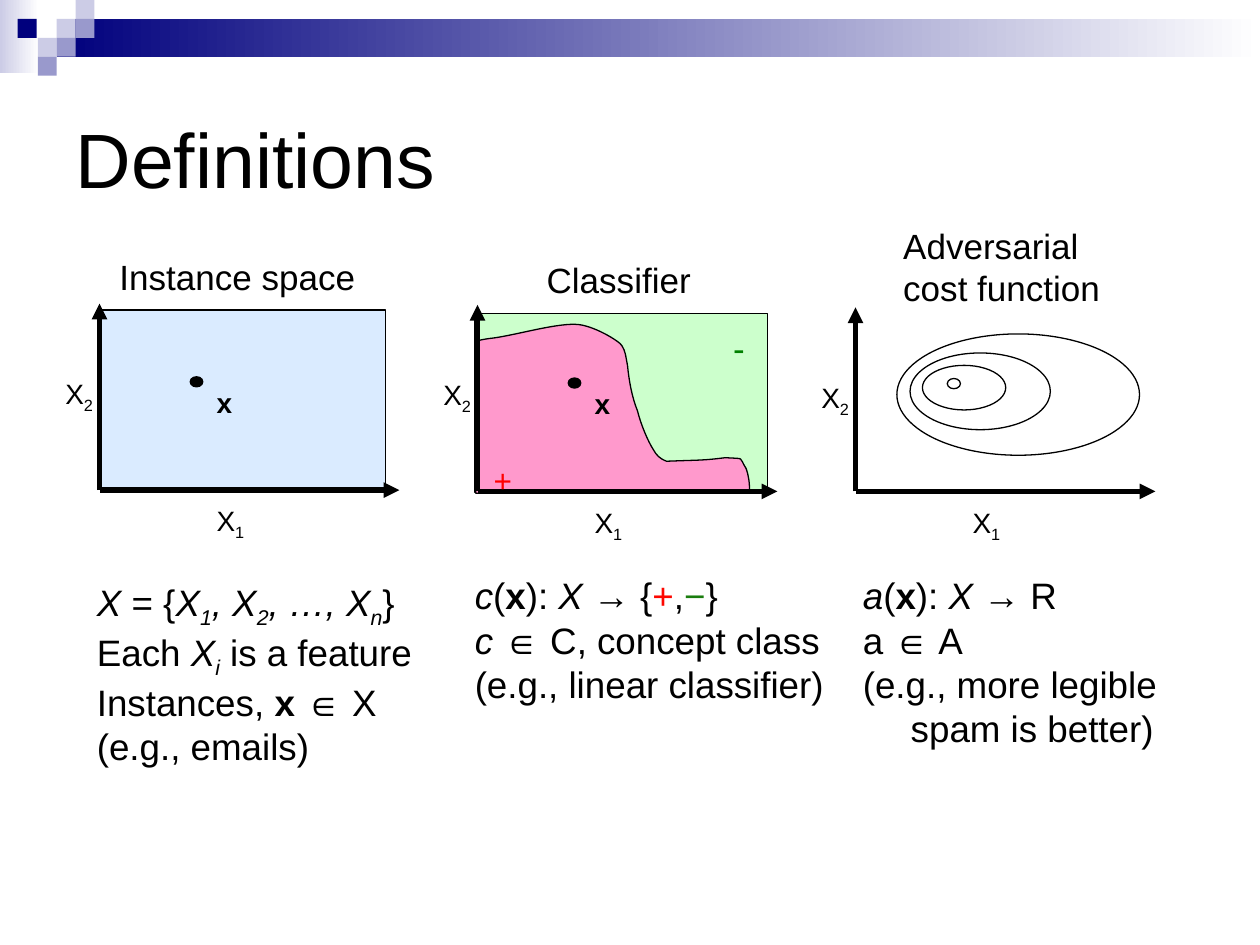
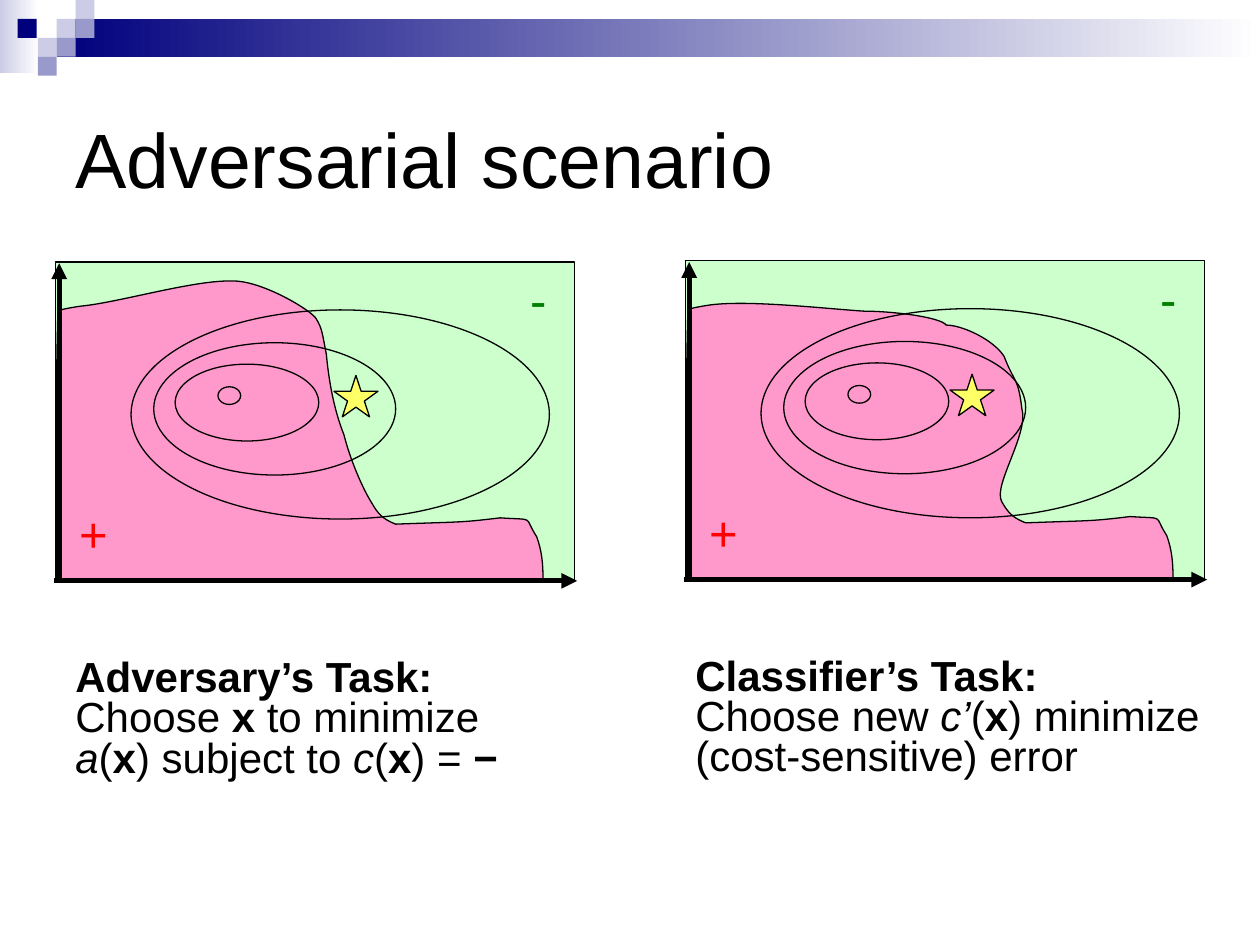
from lxml.etree import SubElement
from pptx import Presentation
from pptx.dml.color import RGBColor
from pptx.enum.shapes import MSO_CONNECTOR, MSO_SHAPE
from pptx.enum.text import MSO_ANCHOR, MSO_AUTO_SIZE, PP_ALIGN
from pptx.oxml.ns import qn
from pptx.util import Pt

PX = 9144  # EMU, 100 px to the inch
FONT = "Arial"
HANGING = 38

BLACK = RGBColor(0x00, 0x00, 0x00)
WHITE = RGBColor(0xFF, 0xFF, 0xFF)
NAVY = RGBColor(0x00, 0x00, 0x7D)
LAVENDER = RGBColor(0x99, 0x99, 0xCC)
PALE_LAVENDER = RGBColor(0xCC, 0xCC, 0xE6)
INSTANCE_BLUE = RGBColor(0xDA, 0xEB, 0xFF)
NEGATIVE_AREA = RGBColor(0xCC, 0xFF, 0xCC)
POSITIVE_AREA = RGBColor(0xFF, 0x99, 0xCC)
STAR_YELLOW = RGBColor(0xFF, 0xFF, 0x66)
PLUS_RED = RGBColor(0xFF, 0x00, 0x00)
MINUS_GREEN = RGBColor(0x00, 0x80, 0x00)
FORMULA_RED = RGBColor(0xFD, 0x07, 0x00)
FORMULA_GREEN = RGBColor(0x1A, 0x7D, 0x0E)

# Class boundaries: a start point, then three points for each Bézier segment,
# measured from the corner of a plot area that is AREA_WIDTH wide.
AREA_WIDTH, AREA_HEIGHT = 412, 253
BOUNDARY_START = [(1, 253), (1, 182), (0, 111), (2, 39), (2, 38), (13, 36), (20, 35)]
BOUNDARY_END = [(251, 191), (256, 200), (260, 204), (270, 208),
                (322, 206), (320, 207), (353, 203), (382, 205), (371, 201), (382, 218),
                (386, 229), (387, 239), (387, 252)]
FIRST_BOUNDARY = BOUNDARY_START + [
    (51, 32), (110, 14), (141, 15), (165, 15), (204, 39), (207, 45),
    (212, 53), (212, 58), (215, 73), (217, 94), (221, 117), (229, 137),
    (234, 157), (244, 180)] + BOUNDARY_END
RETRAINED_BOUNDARY = BOUNDARY_START + [
    (51, 31), (111, 38), (142, 40), (166, 40), (203, 45), (207, 51),
    (220, 51), (245, 63), (253, 76), (261, 97), (264, 92), (267, 117),
    (273, 137), (244, 178)] + BOUNDARY_END
COST_CONTOURS = [(129, 99, 18, 14), (95, 81, 114, 61), (78, 64, 192, 105), (60, 38, 332, 166)]


def emu(*lengths):
    return [round(length * PX) for length in lengths]


def add_figure(slide, preset, box, fill=None, outlined=True):
    figure = slide.shapes.add_shape(preset, *emu(*box))
    paint(figure, fill, outlined)
    return figure


def paint(figure, fill, outlined=True):
    figure.shadow.inherit = False
    if fill is None:
        figure.fill.background()
    else:
        figure.fill.solid()
        figure.fill.fore_color.rgb = fill
    if outlined:
        figure.line.color.rgb = BLACK
        figure.line.width = Pt(0.75)
    else:
        figure.line.fill.background()


def add_runs(paragraph, runs, size):
    """Each run is a string or (text, style, colour); style letters: b, i, s for subscript."""
    for item in runs:
        if item == "\n":
            paragraph.add_line_break()
            continue
        text, style, color = (item, "", BLACK) if isinstance(item, str) else (*item, BLACK)[:3]
        run = paragraph.add_run()
        run.text = text
        font = run.font
        font.name, font.size, font.color.rgb = FONT, Pt(size), color
        font.bold, font.italic = "b" in style, "i" in style
        if "s" in style:
            run._r.get_or_add_rPr().set("baseline", "-25000")


def add_text(slide, box, paragraphs, size, wrap=False):
    frame = slide.shapes.add_textbox(*emu(*box)).text_frame
    frame.word_wrap = wrap
    if not wrap:
        frame.auto_size = MSO_AUTO_SIZE.SHAPE_TO_FIT_TEXT
    for index, runs in enumerate(paragraphs):
        paragraph = frame.add_paragraph() if index else frame.paragraphs[0]
        add_runs(paragraph, runs, size)
    return frame


def add_definition(slide, box, paragraphs):
    frame = add_text(slide, box, paragraphs, 21, wrap=True)
    for paragraph in frame.paragraphs:
        properties = paragraph._p.get_or_add_pPr()
        properties.set("marL", str(HANGING * PX))
        properties.set("indent", str(-HANGING * PX))


def add_task(slide, box, runs):
    paragraph = add_text(slide, box, [runs], 24, wrap=True).paragraphs[0]
    paragraph.line_spacing = 0.8
    paragraph.space_before = Pt(6)


def add_arrow(slide, start, end):
    arrow = slide.shapes.add_connector(MSO_CONNECTOR.STRAIGHT, *emu(*start, *end))
    arrow.line.color.rgb = BLACK
    arrow.line.width = Pt(3)
    SubElement(arrow.line._get_or_add_ln(), qn("a:tailEnd"), type="triangle")
    SubElement(arrow.element.spPr, qn("a:effectLst"))


def add_axes(slide, left, base, top, right, overhang=0):
    add_arrow(slide, (left, base), (left, top))
    add_arrow(slide, (left - overhang, base), (right, base))


def bend_segments(outline):
    """Turn each three straight segments into one cubic Bézier segment."""
    lines = list(outline.element.iter(qn("a:lnTo")))
    for first in range(0, len(lines), 3):
        curve = lines[first]
        curve.tag = qn("a:cubicBezTo")
        for line in lines[first + 1:first + 3]:
            curve.append(line[0])
            line.getparent().remove(line)


def add_class_areas(slide, box, boundary):
    left, top, width, _ = box
    add_figure(slide, MSO_SHAPE.RECTANGLE, box, NEGATIVE_AREA)
    scale = width / AREA_WIDTH
    points = [emu(left + x * scale, top + y * scale) for x, y in boundary]
    builder = slide.shapes.build_freeform(*points[0])
    builder.add_line_segments(points[1:], close=True)
    positive_area = builder.convert_to_shape()
    bend_segments(positive_area)
    paint(positive_area, POSITIVE_AREA)


def add_contours(slide, left, top, scale=1):
    for x, y, width, height in COST_CONTOURS:
        box = (left + x * scale, top + y * scale, width * scale, height * scale)
        add_figure(slide, MSO_SHAPE.OVAL, box)


def add_labelled_axes(slide, left, base, top):
    add_axes(slide, left, base, top, left + 238)
    for index, x, y in (("1", left + 83, base + 6), ("2", left - 37, top + 53)):
        add_text(slide, (x, y, 42, 41), [["X", (index, "s")]], 16)


def add_instance(slide, left, base):
    add_figure(slide, MSO_SHAPE.OVAL, (left + 72, base - 90, 10, 8), BLACK)
    add_text(slide, (left + 83, base - 88, 32, 37), [[("x", "b")]], 16)


def add_header_band(slide, layout):
    """Draw the band and move it to the layout, where all slides share it."""
    band = []
    for box, start in (((0, 0, 31, 58), PALE_LAVENDER), ((45, 15, 955, 30), NAVY)):
        strip = add_figure(slide, MSO_SHAPE.RECTANGLE, box, start, outlined=False)
        strip.fill.gradient()
        strip.fill.gradient_angle = 0
        for stop, color in zip(strip.fill.gradient_stops, (start, WHITE)):
            stop.color.rgb = color
        band.append(strip)
    tiles = [(45, 15, PALE_LAVENDER), (60, 0, PALE_LAVENDER), (60, 15, LAVENDER),
             (30, 30, PALE_LAVENDER), (14, 15, NAVY), (45, 30, LAVENDER), (30, 45, LAVENDER)]
    for x, y, color in tiles:
        band.append(add_figure(slide, MSO_SHAPE.RECTANGLE, (x, y, 15, 15), color, outlined=False))
    for part in band:
        layout.shapes.element.append(part.element)


def add_titled_slide(deck, layout, text):
    slide = deck.slides.add_slide(layout)
    title = slide.shapes.title
    title.left, title.top, title.width, title.height = emu(50, 50, 900, 150)
    title.text_frame.vertical_anchor = MSO_ANCHOR.MIDDLE
    paragraph = title.text_frame.paragraphs[0]
    paragraph.alignment = PP_ALIGN.LEFT
    add_runs(paragraph, [text], 44)
    return slide


def fill_definitions(slide):
    add_figure(slide, MSO_SHAPE.RECTANGLE, (80, 246, 226, 142), INSTANCE_BLUE)
    add_labelled_axes(slide, 79, 389, 241)
    add_instance(slide, 79, 389)

    add_class_areas(slide, (377, 249, 232, 142), FIRST_BOUNDARY)
    add_labelled_axes(slide, 379, 390, 242)
    add_instance(slide, 379, 390)
    add_text(slide, (382, 361, 34, 40), [[("+", "", PLUS_RED)]], 18)
    add_text(slide, (572, 254, 29, 44), [[("-", "", MINUS_GREEN)]], 20)

    add_labelled_axes(slide, 679, 390, 244)
    add_contours(slide, 677, 243, 0.58)

    add_text(slide, (85, 198, 207, 44), [["Instance space"]], 20)
    add_text(slide, (424, 200, 138, 44), [["Classifier"]], 20)
    add_text(slide, (707, 173, 209, 77), [["Adversarial cost function"]], 20, wrap=True)

    add_definition(slide, (367, 450, 300, 220), [
        [("c", "i"), "(", ("x", "b"), "): ", ("X ", "i"), "→ {",
         ("+", "", FORMULA_RED), ",", ("−", "", FORMULA_GREEN), "}"],
        [("c ", "i"), "∈ C, concept class"],
        ["(e.g., linear classifier)"]])
    add_definition(slide, (67, 455, 275, 220), [
        [("X", "i"), " = {", ("X", "i"), ("1", "is"), (", X", "i"), ("2", "is"),
         (", …, X", "i"), ("n", "is"), "}"],
        ["Each ", ("X", "i"), ("i", "is"), " is a feature"],
        ["Instances, ", ("x ", "b"), "∈ X"],
        ["(e.g., emails)"]])
    add_definition(slide, (675, 450, 300, 220), [
        [("a", "i"), "(", ("x", "b"), "): ", ("X ", "i"), "→ R"],
        ["a ∈ A"],
        ["(e.g., more legible spam is better)"]])


def add_scenario(slide, left, top, boundary, star_x):
    add_class_areas(slide, (left, top, AREA_WIDTH, AREA_HEIGHT), boundary)
    add_axes(slide, left + 3, top + AREA_HEIGHT, top + 1, left + 414, overhang=4)
    add_contours(slide, left, top)
    add_text(slide, (left + 9, top + 187, 42, 57), [[("+", "", PLUS_RED)]], 28)
    add_text(slide, (left + 367, top + 1, 33, 57), [[("-", "", MINUS_GREEN)]], 28)
    add_figure(slide, MSO_SHAPE.STAR_5_POINT, (left + star_x, top + 90, 35, 33), STAR_YELLOW)


def fill_scenario(slide):
    add_scenario(slide, 44, 208, FIRST_BOUNDARY, 221)
    add_scenario(slide, 544, 207, RETRAINED_BOUNDARY, 210)
    add_task(slide, (542, 518, 425, 106), [
        ("Classifier’s Task:", "b"), "\n", "Choose new ", ("c’", "i"), "(", ("x", "b"),
        ") minimize (cost-sensitive) error"])
    add_task(slide, (50, 519, 400, 106), [
        ("Adversary’s Task:", "b"), "\n", "Choose ", ("x", "b"), " to minimize ",
        ("a", "i"), "(", ("x", "b"), ") subject to ", ("c", "i"), "(", ("x", "b"), ") = ",
        ("−", "b")])


def main():
    deck = Presentation()
    deck.slide_width, deck.slide_height = emu(1000, 750)
    title_only = deck.slide_layouts[5]
    definitions = add_titled_slide(deck, title_only, "Definitions")
    add_header_band(definitions, title_only)
    fill_definitions(definitions)
    fill_scenario(add_titled_slide(deck, title_only, "Adversarial scenario"))
    deck.save("out.pptx")


if __name__ == "__main__":
    main()
